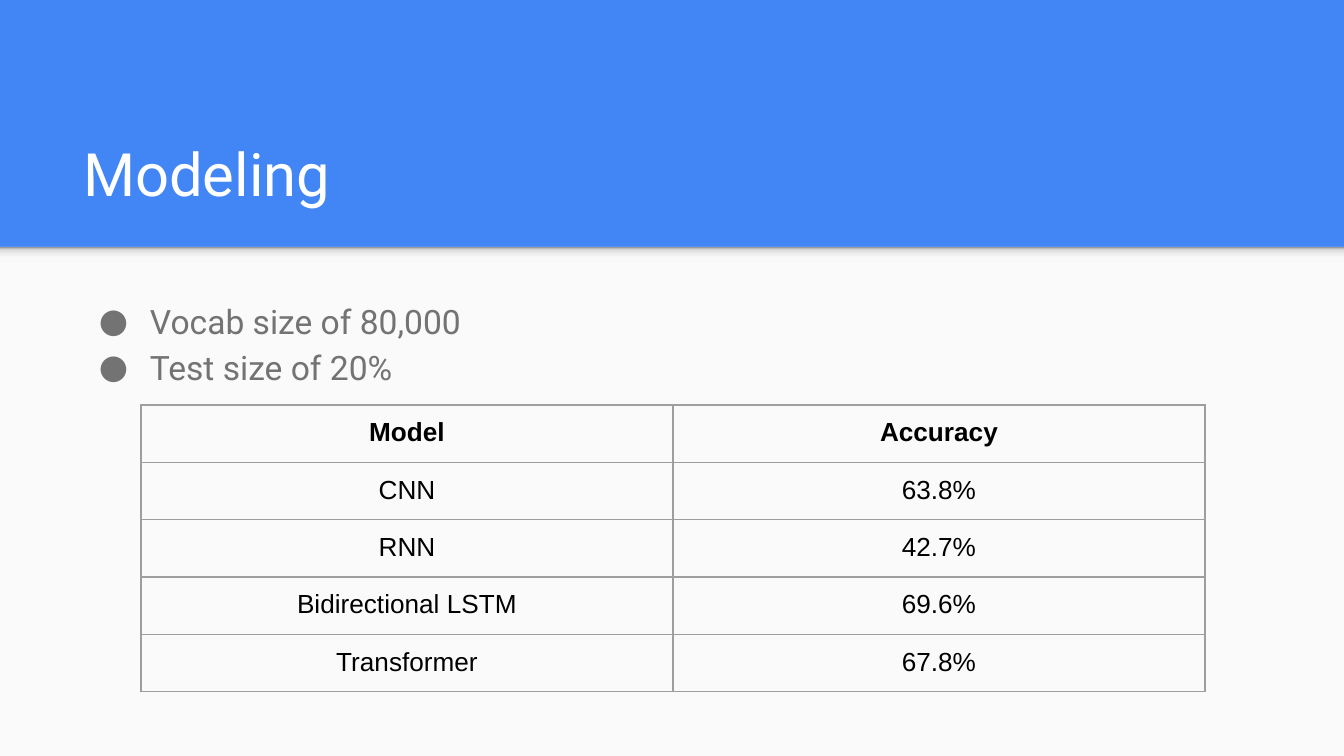
from lxml.etree import SubElement
from pptx import Presentation
from pptx.dml.color import RGBColor
from pptx.enum.shapes import MSO_SHAPE as Shape
from pptx.enum.text import MSO_ANCHOR as Anchor, MSO_AUTO_SIZE as AutoSize, PP_ALIGN as Align
from pptx.oxml.ns import qn
from pptx.util import Emu, Pt

SCALE = 914400 / 134.4
COLORS = {
    "blue": "4285F4",
    "panel": "FAFAFA",
    "white": "FFFFFF",
    "gray": "737373",
    "black": "000000",
    "border": "9E9E9E",
}
SHADOW_STOPS = [(0, "F9F9F9"), (36, "F9F9F9"), (80, "DEDEDE"), (100, "999999")]
BULLETS = ["Vocab size of 80,000", "Test size of 20%"]
RESULTS = [
    ("Model", "Accuracy"),
    ("CNN", "63.8%"),
    ("RNN", "42.7%"),
    ("Bidirectional LSTM", "69.6%"),
    ("Transformer", "67.8%"),
]
PADDING = 13
ROW_HEIGHT = 56


def px(value):
    return Emu(round(value * SCALE))


def color(name):
    return RGBColor.from_string(COLORS[name])


def apply(target, values):
    for name, value in values.items():
        setattr(target, name, value)


def set_margins(target):
    for side in ("left", "top", "right", "bottom"):
        setattr(target, f"margin_{side}", px(PADDING))


def add_span(para, text, color_name, **font_values):
    span = para.add_run()
    span.text = text
    span.font.color.rgb = color(color_name)
    apply(span.font, font_values)


def add_rectangle(page, *place):
    rectangle = page.shapes.add_shape(Shape.RECTANGLE, *map(px, place))
    rectangle.shadow.inherit = False
    rectangle.line.fill.background()
    return rectangle


def add_panel(page):
    panel = add_rectangle(page, 0, 247, 1344, 509)
    panel.fill.solid()
    panel.fill.fore_color.rgb = color("panel")


def add_shadow_strip(page):
    strip = add_rectangle(page, 0, 247, 1344, 16)
    strip.fill.gradient()
    strip.fill.gradient_angle = 90
    stops = strip.element.spPr.find(".//" + qn("a:gsLst"))
    for stop in list(stops):
        stops.remove(stop)
    for percent, hex_value in SHADOW_STOPS:
        stop = SubElement(stops, qn("a:gs"), pos=str(percent * 1000))
        SubElement(stop, qn("a:srgbClr"), val=hex_value)


def format_title(page, text):
    title = page.shapes.title
    apply(title, {"left": px(70), "top": px(109), "width": px(1208), "height": px(113)})
    frame = title.text_frame
    apply(frame, {"word_wrap": True, "auto_size": AutoSize.NONE, "vertical_anchor": Anchor.BOTTOM})
    set_margins(frame)
    para = frame.paragraphs[0]
    para.alignment = Align.LEFT
    add_span(para, text, "white", name="Roboto", size=Pt(32))


def add_bullet(para):
    properties = para._p.get_or_add_pPr()
    properties.set("marL", str(px(67)))
    properties.set("indent", str(px(-51)))
    bullet_color = SubElement(properties, qn("a:buClr"))
    SubElement(bullet_color, qn("a:srgbClr"), val=COLORS["gray"])
    SubElement(properties, qn("a:buFont"), typeface="Roboto")
    SubElement(properties, qn("a:buChar"), char="●")


def add_bullet_list(page, lines):
    box = page.shapes.add_textbox(*map(px, (70, 282, 1208, 398)))
    frame = box.text_frame
    frame.word_wrap = True
    set_margins(frame)
    for index, line in enumerate(lines):
        para = frame.add_paragraph() if index else frame.paragraphs[0]
        para.line_spacing = 1.15
        add_bullet(para)
        add_span(para, line, "gray", name="Roboto", size=Pt(18))


def add_borders(cell):
    properties = cell._tc.get_or_add_tcPr()
    for index, side in enumerate(("lnL", "lnR", "lnT", "lnB")):
        line = properties.makeelement(qn(f"a:{side}"), {"w": str(Pt(0.75))})
        fill = SubElement(line, qn("a:solidFill"))
        SubElement(fill, qn("a:srgbClr"), val=COLORS["border"])
        properties.insert(index, line)


def add_results_table(page, rows):
    place = (141, 405, 1064, ROW_HEIGHT * len(rows))
    table = page.shapes.add_table(len(rows), len(rows[0]), *map(px, place)).table
    apply(table, {"first_row": False, "horz_banding": False})
    for row_index, values in enumerate(rows):
        table.rows[row_index].height = px(ROW_HEIGHT)
        for column_index, value in enumerate(values):
            cell = table.cell(row_index, column_index)
            cell.fill.background()
            set_margins(cell)
            add_borders(cell)
            para = cell.text_frame.paragraphs[0]
            para.alignment = Align.CENTER
            add_span(para, value, "black", name="Arial", size=Pt(14), bold=row_index == 0)


def main():
    deck = Presentation()
    apply(deck, {"slide_width": px(1344), "slide_height": px(756)})
    page = deck.slides.add_slide(deck.slide_layouts.get_by_name("Title Only"))
    page.background.fill.solid()
    page.background.fill.fore_color.rgb = color("blue")
    add_panel(page)
    add_shadow_strip(page)
    format_title(page, "Modeling")
    add_bullet_list(page, BULLETS)
    add_results_table(page, RESULTS)
    deck.save("out.pptx")


if __name__ == "__main__":
    main()
